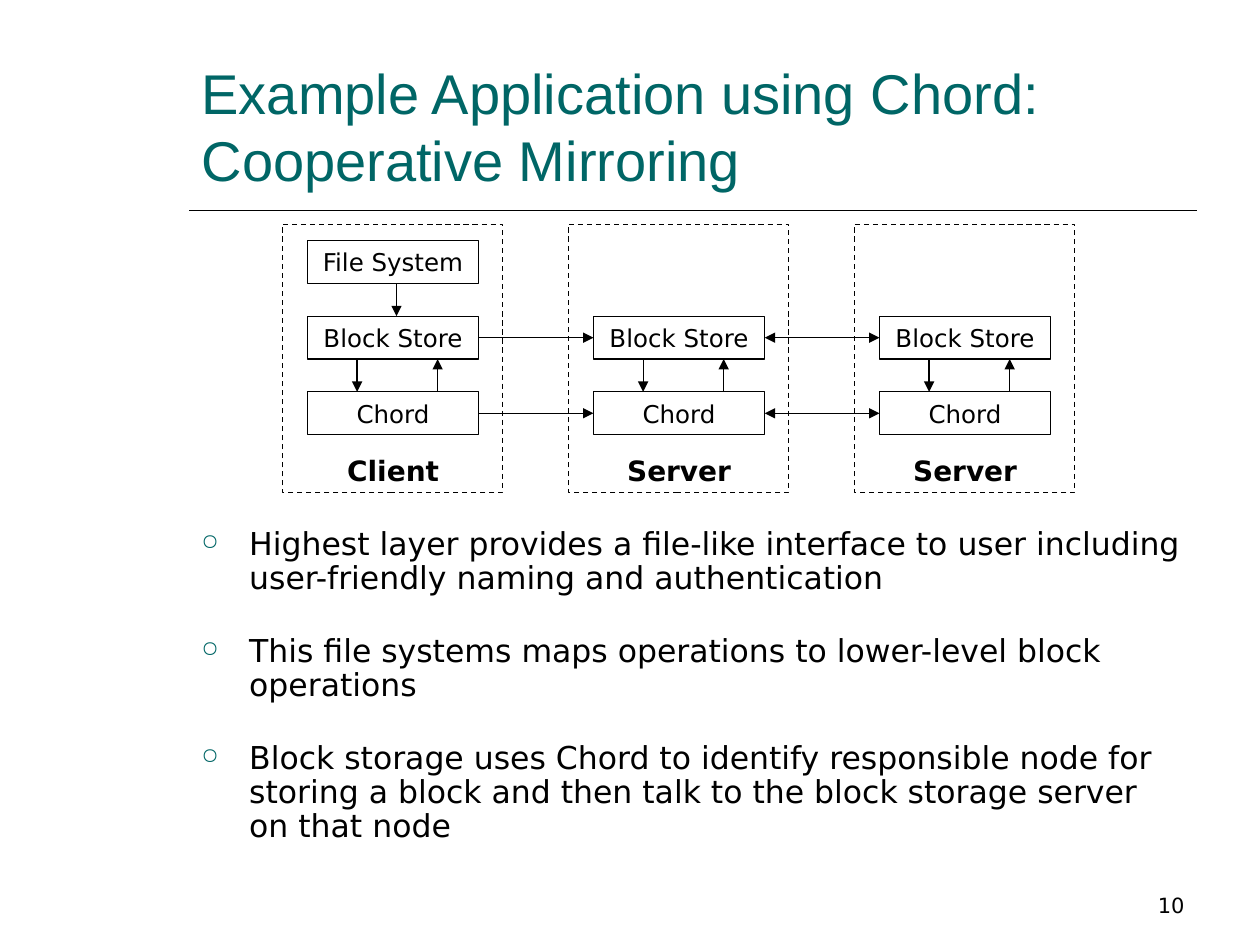
from dataclasses import dataclass

from lxml import etree
from pptx import Presentation
from pptx.dml.color import RGBColor
from pptx.enum.dml import MSO_LINE
from pptx.enum.shapes import MSO_CONNECTOR, MSO_SHAPE
from pptx.enum.text import MSO_ANCHOR, MSO_AUTO_SIZE, PP_ALIGN
from pptx.oxml.ns import qn
from pptx.util import Inches, Pt

RECTANGLE, STRAIGHT, DASH = MSO_SHAPE.RECTANGLE, MSO_CONNECTOR.STRAIGHT, MSO_LINE.DASH
LEFT, CENTER, RIGHT = PP_ALIGN.LEFT, PP_ALIGN.CENTER, PP_ALIGN.RIGHT
TOP, MIDDLE, BOTTOM = MSO_ANCHOR.TOP, MSO_ANCHOR.MIDDLE, MSO_ANCHOR.BOTTOM
NO_AUTOFIT = MSO_AUTO_SIZE.NONE

BLACK, TEAL = "000000", "006666"
SANS, TITLE_FONT = "DejaVu Sans", "Arial"
TITLE_ONLY = 5
PAGE_WIDTH, PAGE_HEIGHT = 10, 7.5
CONTENT_LEFT, CONTENT_WIDTH = 0.15 * PAGE_WIDTH, 0.8 * PAGE_WIDTH

HOST_LEFT, HOST_TOP, HOST_WIDTH, HOST_HEIGHT = 2.24, 1.78, 1.75, 2.13
COLUMN_STEP, ROW_STEP = 2.27, 0.6
LAYER_LEFT, LAYER_TOP, LAYER_WIDTH, LAYER_HEIGHT = 2.44, 1.91, 1.36, 0.34
FILE_ROW, BLOCK_ROW, CHORD_ROW, LABEL_ROW = 0, 1, 2, 2.9
LABEL_HEIGHT = LAYER_HEIGHT / 2
DOWN_SHARE, MIDDLE_SHARE, UP_SHARE = 0.29, 0.52, 0.76


@dataclass(frozen=True)
class Host:
    """A dashed machine with its layers, by row."""
    name: str
    layers: dict


@dataclass(frozen=True)
class TextStyle:
    """Look of one kind of text."""
    size: float
    name: str = SANS
    color: str = BLACK
    bold: bool = False
    align: PP_ALIGN = CENTER
    anchor: MSO_ANCHOR = MIDDLE
    wrap: bool = False


STACK = {BLOCK_ROW: "Block Store", CHORD_ROW: "Chord"}
HOSTS = [
    Host("Client", {FILE_ROW: "File System", **STACK}),
    Host("Server", STACK),
    Host("Server", STACK),
]
POINTS = [
    "Highest layer provides a file-like interface to user including user-friendly naming and authentication",
    "This file systems maps operations to lower-level block operations",
    "Block storage uses Chord to identify responsible node for storing a block and then talk to the block storage server on that node",
]
TITLE = "Example Application using Chord:\vCooperative Mirroring"
TITLE_STYLE = TextStyle(32, TITLE_FONT, TEAL, align=LEFT, anchor=BOTTOM, wrap=True)
BODY_STYLE = TextStyle(18, align=LEFT, anchor=TOP, wrap=True)
LAYER_STYLE = TextStyle(14)
LABEL_STYLE = TextStyle(16, bold=True)
NUMBER_STYLE = TextStyle(12, align=RIGHT, anchor=BOTTOM, wrap=True)


def rgb(color: str) -> RGBColor:
    """Turn a hex string into a colour."""
    return RGBColor.from_string(color)


def set_all(target, values: dict) -> None:
    """Set attributes from a dict of format values."""
    for name, value in values.items():
        setattr(target, name, value)


def write(shape, lines: list, style: TextStyle) -> None:
    """Fill a shape with one styled paragraph per line."""
    frame = shape.text_frame
    frame.text = "\n".join(lines)
    set_all(frame, {"auto_size": NO_AUTOFIT, "word_wrap": style.wrap,
                    "vertical_anchor": style.anchor})
    for para in frame.paragraphs:
        para.alignment = style.align
        for span in para.runs:
            set_all(span.font, {"size": Pt(style.size), "name": style.name, "bold": style.bold})
            span.font.color.rgb = rgb(style.color)


def add_text(page, area: tuple, lines: list, style: TextStyle):
    """Add a text box at left, top, width, height in inches."""
    box = page.shapes.add_textbox(*map(Inches, area))
    write(box, lines, style)
    return box


def add_frame(page, area: tuple):
    """Add an unfilled black rectangle."""
    box = page.shapes.add_shape(RECTANGLE, *map(Inches, area))
    box.shadow.inherit = False
    box.fill.background()
    box.line.color.rgb = rgb(BLACK)
    box.line.width = Pt(0.75)
    return box


def add_line(page, start: tuple, end: tuple, heads: tuple = (), width: float = 0.75) -> None:
    """Add a straight line with arrowheads at the named ends."""
    line = page.shapes.add_connector(STRAIGHT, *map(Inches, start + end))
    line.line.color.rgb = rgb(BLACK)
    line.line.width = Pt(width)
    for head in heads:
        etree.SubElement(line.line._get_or_add_ln(), qn(f"a:{head}"), type="triangle")
    etree.SubElement(line._element.spPr, qn("a:effectLst"))


def layer_x(column: int, share: float = 0) -> float:
    """Give x at a share of the layer width in a column."""
    return LAYER_LEFT + column * COLUMN_STEP + share * LAYER_WIDTH


def layer_y(row: float, share: float = 0) -> float:
    """Give y at a share of the layer height in a row."""
    return LAYER_TOP + row * ROW_STEP + share * LAYER_HEIGHT


def add_vertical(page, column: int, row: int, share: float, head: str) -> None:
    """Join a layer to the one below it."""
    x = layer_x(column, share)
    add_line(page, (x, layer_y(row, 1)), (x, layer_y(row + 1)), (head,))


def add_host(page, column: int, host: Host) -> None:
    """Draw a machine with its layers, name and inner arrows."""
    area = HOST_LEFT + column * COLUMN_STEP, HOST_TOP, HOST_WIDTH, HOST_HEIGHT
    add_frame(page, area).line.dash_style = DASH
    for row, text in host.layers.items():
        box = add_frame(page, (layer_x(column), layer_y(row), LAYER_WIDTH, LAYER_HEIGHT))
        write(box, [text], LAYER_STYLE)
    label = layer_x(column), layer_y(LABEL_ROW), LAYER_WIDTH, LABEL_HEIGHT
    add_text(page, label, [host.name], LABEL_STYLE)
    if FILE_ROW in host.layers:
        add_vertical(page, column, FILE_ROW, MIDDLE_SHARE, "tailEnd")
    add_vertical(page, column, BLOCK_ROW, DOWN_SHARE, "tailEnd")
    add_vertical(page, column, BLOCK_ROW, UP_SHARE, "headEnd")


def add_links(page) -> None:
    """Join matching layers of neighbouring machines."""
    for column, heads in enumerate([("tailEnd",), ("headEnd", "tailEnd")]):
        for row in STACK:
            y = layer_y(row, 0.5)
            add_line(page, (layer_x(column, 1), y), (layer_x(column + 1), y), heads)


def add_bullets(page) -> None:
    """Add the bulleted explanation."""
    box = add_text(page, (CONTENT_LEFT, 4.14, CONTENT_WIDTH, 2.64), POINTS, BODY_STYLE)
    for index, para in enumerate(box.text_frame.paragraphs):
        properties = para._p.get_or_add_pPr()
        properties.set("marL", str(Inches(0.38)))
        properties.set("indent", str(-Inches(0.38)))
        color = etree.SubElement(properties, qn("a:buClr"))
        etree.SubElement(color, qn("a:srgbClr"), val=TEAL)
        etree.SubElement(properties, qn("a:buSzPct"), val="70000")
        etree.SubElement(properties, qn("a:buChar"), char="○")
        set_all(para, {"line_spacing": 0.9, "space_before": Pt(11.2 if index else 0),
                       "space_after": Pt(11.2)})


def main() -> None:
    """Build and save the slide."""
    deck = Presentation()
    set_all(deck, {"slide_width": Inches(PAGE_WIDTH), "slide_height": Inches(PAGE_HEIGHT)})
    page = deck.slides.add_slide(deck.slide_layouts[TITLE_ONLY])
    title = page.shapes.title
    set_all(title, {"left": Inches(CONTENT_LEFT), "top": Inches(0.33),
                    "width": Inches(CONTENT_WIDTH), "height": Inches(1.25)})
    write(title, [TITLE], TITLE_STYLE)
    add_line(page, (CONTENT_LEFT, 1.67), (CONTENT_LEFT + CONTENT_WIDTH, 1.67), width=1)
    add_bullets(page)
    for column, host in enumerate(HOSTS):
        add_host(page, column, host)
    add_links(page)
    add_text(page, (7.17, 6.83, 2.33, 0.5), ["10"], NUMBER_STYLE)
    deck.save("out.pptx")


if __name__ == "__main__":
    main()
